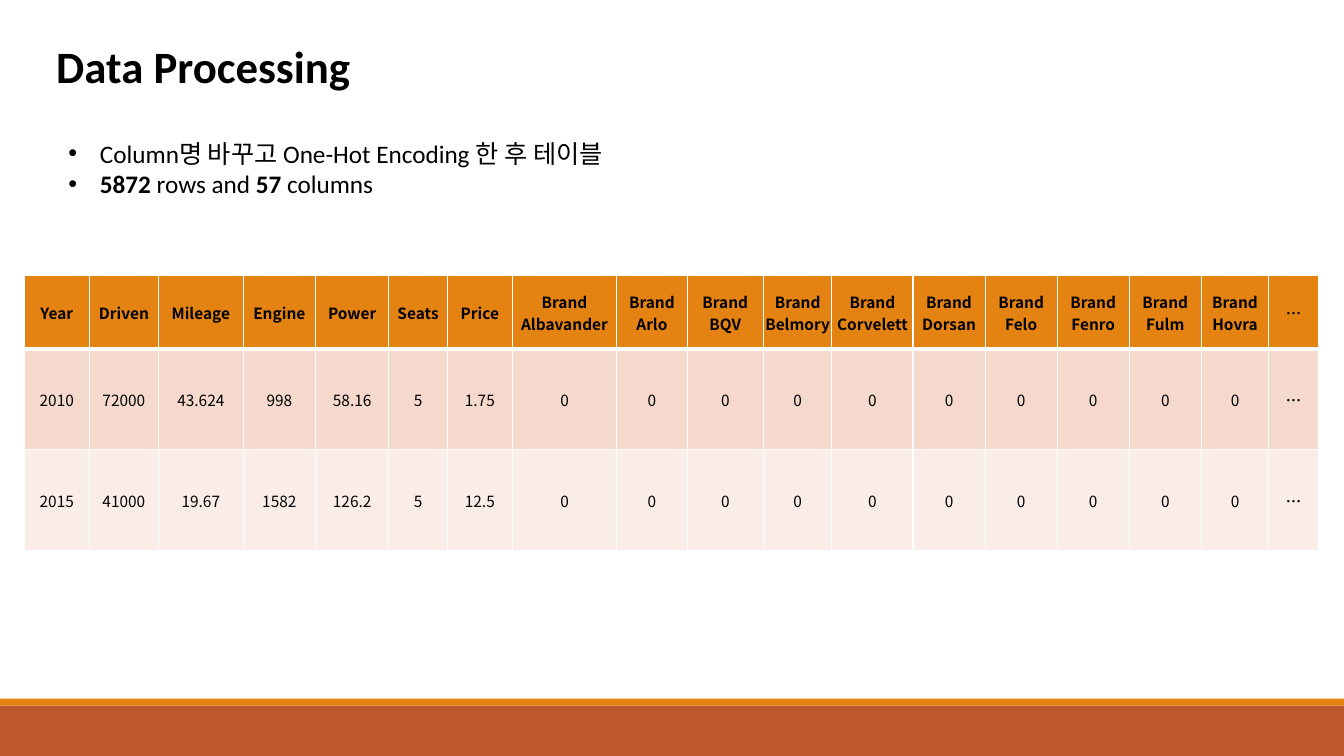
from lxml import etree
from pptx import Presentation
from pptx.dml.color import RGBColor
from pptx.enum.shapes import MSO_SHAPE
from pptx.enum.text import MSO_ANCHOR, PP_ALIGN
from pptx.oxml.ns import qn
from pptx.util import Pt

RECTANGLE = MSO_SHAPE.RECTANGLE
MIDDLE = MSO_ANCHOR.MIDDLE
CENTER = PP_ALIGN.CENTER

BLACK = RGBColor(0x00, 0x00, 0x00)
WHITE = RGBColor(0xFF, 0xFF, 0xFF)
ORANGE = RGBColor(0xE4, 0x83, 0x12)
RUST = RGBColor(0xBD, 0x58, 0x2C)
PEACH = RGBColor(0xF5, 0xD9, 0xCC)
PALE_PEACH = RGBColor(0xFA, 0xED, 0xE7)

LATIN_FONT = "Calibri"
KOREAN_FONT = "Noto Sans CJK KR"
TITLE_FORMAT = {"name": LATIN_FONT, "size": Pt(32), "bold": True}
BULLET_FORMAT = {"name": LATIN_FONT, "size": Pt(18), "bold": False}
CELL_FORMAT = {"name": KOREAN_FONT, "size": Pt(11), "bold": False}
CELL_LAYOUT = {
    "vertical_anchor": MIDDLE,
    "margin_left": Pt(0.7),
    "margin_right": Pt(0.7),
    "margin_top": Pt(0.7),
    "margin_bottom": 0,
}
PLAIN_TABLE = {"first_row": False, "horz_banding": False}

BULLETS = [
    [("Column명 바꾸고 One-Hot Encoding 한 후 테이블", False)],
    [("5872", True), (" rows and ", False), ("57", True), (" columns", False)],
]
BULLET_INDENT = 22.5

ELLIPSIS = "…"
FEATURES = ["Year", "Driven", "Mileage", "Engine", "Power", "Seats", "Price"]
BRANDS = ["Albavander", "Arlo", "BQV", "Belmory", "Corvelett",
          "Dorsan", "Felo", "Fenro", "Fulm", "Hovra"]
CARS = [
    ["2010", "72000", "43.624", "998", "58.16", "5", "1.75"],
    ["2015", "41000", "19.67", "1582", "126.2", "5", "12.5"],
]
ROW_FILLS = [ORANGE, PEACH, PALE_PEACH]
ROW_HEIGHTS = [52.6, 72, 72]
COLUMN_WIDTHS = [46.2, 49.7, 60.3, 51.8, 52.3, 41.8, 46.5, 74.5, 50.4,
                 54.4, 48.9, 58, 51.5, 51.5, 51.5, 51.5, 48.2, 35.5]


def apply_format(target, values):
    """Set each named attribute of the target."""
    for name, value in values.items():
        setattr(target, name, value)


def add_span(para, text, values):
    """Add a formatted black run with a Korean companion font."""
    span = para.add_run()
    span.text = text
    span.font.color.rgb = BLACK
    apply_format(span.font, values)
    east_asian = etree.SubElement(span._r.get_or_add_rPr(), qn("a:ea"))
    east_asian.set("typeface", KOREAN_FONT)


def add_bar(page, top, height, color):
    """Add a full-width band without outline."""
    bar = page.shapes.add_shape(RECTANGLE, 0, Pt(top), Pt(960), Pt(height))
    bar.shadow.inherit = False
    bar.fill.solid()
    bar.fill.fore_color.rgb = color
    bar.line.fill.background()


def add_text_box(page, left, top, width, height):
    """Add a wrapping text box and return its text frame."""
    box = page.shapes.add_textbox(Pt(left), Pt(top), Pt(width), Pt(height))
    box.text_frame.word_wrap = True
    return box.text_frame


def add_bullet_mark(para):
    """Give a paragraph a round bullet with a hanging indent."""
    properties = para._p.get_or_add_pPr()
    properties.set("marL", str(Pt(BULLET_INDENT)))
    properties.set("indent", str(-Pt(BULLET_INDENT)))
    etree.SubElement(properties, qn("a:buFont")).set("typeface", "Arial")
    etree.SubElement(properties, qn("a:buChar")).set("char", "•")


def add_bullets(frame, bullets):
    """Fill a text frame with bulleted paragraphs of mixed weight."""
    for index, spans in enumerate(bullets):
        para = frame.add_paragraph() if index else frame.paragraphs[0]
        add_bullet_mark(para)
        for text, bold in spans:
            add_span(para, text, {**BULLET_FORMAT, "bold": bold})


def add_borders(cell, top, bottom):
    """Draw white borders with the given top and bottom widths."""
    properties = cell._tc.get_or_add_tcPr()
    for side, width in {"L": 1, "R": 1, "T": top, "B": bottom}.items():
        line = etree.SubElement(properties, qn(f"a:ln{side}"), w=str(Pt(width)))
        fill = etree.SubElement(line, qn("a:solidFill"))
        etree.SubElement(fill, qn("a:srgbClr"), val=str(WHITE))


def fill_cell(cell, text, color, bold):
    """Write centred lines into a cell on a solid colour."""
    apply_format(cell, CELL_LAYOUT)
    cell.fill.solid()
    cell.fill.fore_color.rgb = color
    frame = cell.text_frame
    for index, line in enumerate(text.split("\n")):
        para = frame.add_paragraph() if index else frame.paragraphs[0]
        para.alignment = CENTER
        add_span(para, line, {**CELL_FORMAT, "bold": bold})


def add_car_table(page, left, top):
    """Add the encoded car table with its header row."""
    header = FEATURES + [f"Brand\n{brand}" for brand in BRANDS] + [ELLIPSIS]
    rows = [header] + [car + ["0"] * len(BRANDS) + [ELLIPSIS] for car in CARS]
    frame = page.shapes.add_table(
        len(rows), len(header), Pt(left), Pt(top),
        Pt(sum(COLUMN_WIDTHS)), Pt(sum(ROW_HEIGHTS)))
    table = frame.table
    apply_format(table, PLAIN_TABLE)
    for column, width in zip(table.columns, COLUMN_WIDTHS):
        column.width = Pt(width)
    for row_index, texts in enumerate(rows):
        table.rows[row_index].height = Pt(ROW_HEIGHTS[row_index])
        top_width = 3 if row_index == 1 else 1
        bottom_width = 3 if row_index == 0 else 1
        for column_index, text in enumerate(texts):
            cell = table.cell(row_index, column_index)
            add_borders(cell, top_width, bottom_width)
            bold = row_index == 0 or text == ELLIPSIS
            fill_cell(cell, text, ROW_FILLS[row_index], bold)


def main():
    """Build the data processing slide and save it."""
    deck = Presentation()
    apply_format(deck, {"slide_width": Pt(960), "slide_height": Pt(540)})
    page = deck.slides.add_slide(deck.slide_layouts[6])
    add_bar(page, 504, 36, RUST)
    add_bar(page, 499, 5, ORANGE)
    title = add_text_box(page, 33.1, 23.8, 473, 46)
    add_span(title.paragraphs[0], "Data Processing", TITLE_FORMAT)
    add_bullets(add_text_box(page, 41.8, 95, 877, 51), BULLETS)
    add_car_table(page, 17.5, 196.6)
    deck.save("out.pptx")


main()
